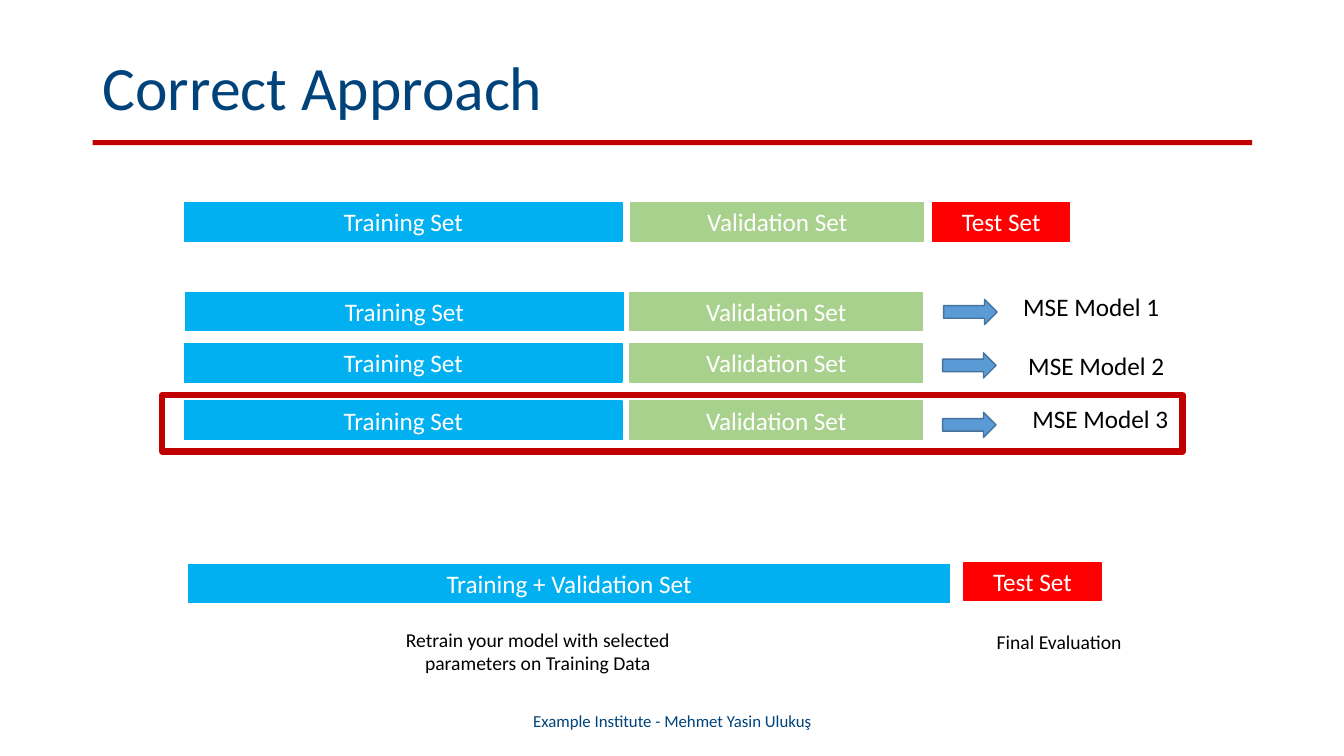
from pptx import Presentation
from pptx.util import Inches, Pt
from pptx.dml.color import RGBColor
from pptx.enum.shapes import MSO_SHAPE as Shape
from pptx.enum.text import PP_ALIGN as Align, MSO_ANCHOR as Anchor, MSO_AUTO_SIZE as Fit
from dataclasses import dataclass


@dataclass(frozen=True)
class Theme:
    font: str = "Calibri"
    navy: str = "00437A"
    crimson: str = "C00000"
    red: str = "FF0000"
    sky: str = "00B0F0"
    green: str = "A9D18E"
    blue: str = "5B9BD5"
    edge: str = "43739E"
    white: str = "FFFFFF"
    black: str = "000000"
    title: int = 44
    body: int = 18
    note: int = 14
    foot: int = 12


T = Theme()

# Content: bars are (text, left, width, fill)
TITLE = "Correct Approach"
FOOTER = "Example Institute - Mehmet Yasin Ulukuş"
SPLIT = [
    ("Test Set", 9.25, 1.36, T.red),
    ("Training Set", 1.83, 4.34, T.sky),
    ("Validation Set", 6.26, 2.9, T.green),
]
# Models are (text, bar top, training left, arrow left, arrow top, label left, label top)
MODELS = [
    ("MSE Model 1", 2.9, 1.84, 9.36, 2.97, 10.05, 2.84),
    ("MSE Model 2", 3.41, 1.83, 9.35, 3.5, 10.1, 3.43),
    ("MSE Model 3", 3.98, 1.83, 9.35, 4.09, 10.14, 3.95),
]
NOTES = [
    ("Retrain your model with selected parameters on Training Data", (3.63, 6.18, 3.41, 0.57)),
    ("Final Evaluation", (9.56, 6.2, 1.89, 0.34)),
]
BAR_H = 0.38


def rgb(code):
    return RGBColor.from_string(code)


def write(shape, text, size=T.body, color=T.black, align=Align.LEFT,
          anchor=Anchor.TOP, wrap=True, grow=False, spacing=None):
    frame = shape.text_frame
    frame.word_wrap = wrap
    frame.auto_size = Fit.SHAPE_TO_FIT_TEXT if grow else Fit.NONE
    frame.vertical_anchor = anchor
    para = frame.paragraphs[0]
    para.alignment = align
    if spacing:
        para.line_spacing = spacing
    run = para.add_run()
    run.text = text
    run.font.name = T.font
    run.font.size = Pt(size)
    run.font.color.rgb = rgb(color)


def label(home, text, box, **style):
    write(home.add_textbox(*map(Inches, box)), text, **style)


def draw(home, kind, box, fill=None, line=None, width=1):
    shape = home.add_shape(kind, *map(Inches, box))
    shape.shadow.inherit = False
    if fill:
        shape.fill.solid()
        shape.fill.fore_color.rgb = rgb(fill)
    else:
        shape.fill.background()
    if line:
        shape.line.color.rgb = rgb(line)
        shape.line.width = Pt(width)
    else:
        shape.line.fill.background()
    return shape


def bar(home, text, left, top, width, fill):
    shape = draw(home, Shape.RECTANGLE, (left, top, width, BAR_H), fill, fill)
    write(shape, text, color=T.white, align=Align.CENTER, anchor=Anchor.MIDDLE)


def main():
    deck = Presentation()
    deck.slide_width, deck.slide_height = Inches(13.33), Inches(7.5)
    slide = deck.slides.add_slide(deck.slide_layouts[6])
    page = slide.shapes

    # Heading and footer
    draw(page, Shape.RECTANGLE, (0.92, 1.39, 11.5, 0.05), T.crimson)
    label(page, TITLE, (0.92, 0.4, 11.5, 0.99), size=T.title, color=T.navy,
          anchor=Anchor.MIDDLE, spacing=0.9)
    label(page, FOOTER, (4.42, 6.95, 4.5, 0.4), size=T.foot, color=T.navy,
          align=Align.CENTER, anchor=Anchor.MIDDLE)

    # Three-way split
    row = page.add_group_shape().shapes
    for text, left, width, fill in SPLIT:
        bar(row, text, left, 2.01, width, fill)

    # Candidate models
    for text, top, left, tip, tip_top, tag, tag_top in MODELS:
        row = page.add_group_shape().shapes
        bar(row, "Training Set", left, top, 4.34, T.sky)
        bar(row, "Validation Set", 6.25, top, 2.9, T.green)
        draw(row, Shape.RIGHT_ARROW, (tip, tip_top, 0.53, 0.25), T.blue, T.edge)
        label(row, text, (tag, tag_top, 1.57, 0.4), wrap=False, grow=True)

    # Frame around the chosen model
    draw(page, Shape.RECTANGLE, (1.61, 3.92, 10.12, 0.56), line=T.crimson, width=4.5)

    # Final training and test
    row = page.add_group_shape().shapes
    bar(row, "Test Set", 9.56, 5.58, 1.36, T.red)
    bar(row, "Training + Validation Set", 1.87, 5.6, 7.55, T.sky)
    for text, box in NOTES:
        label(page, text, box, size=T.note, align=Align.CENTER, grow=True)

    deck.save("out.pptx")


if __name__ == "__main__":
    main()
